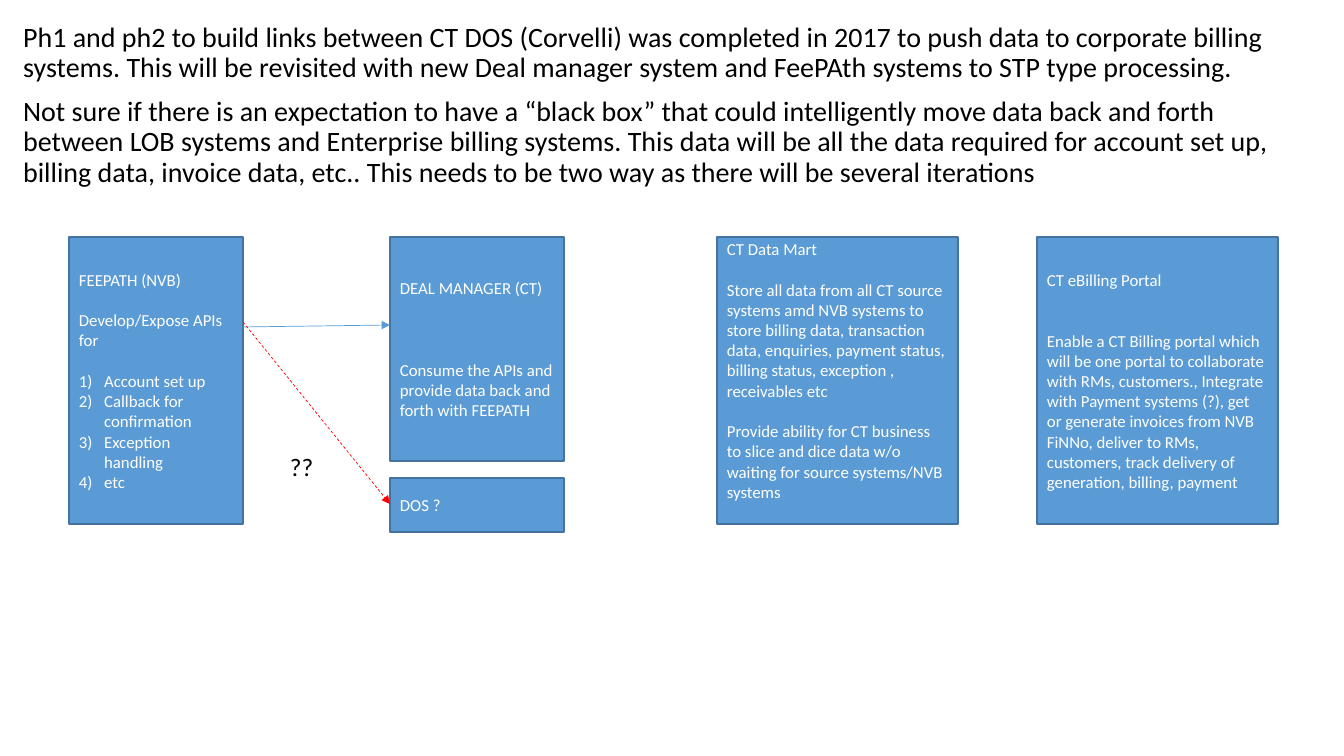
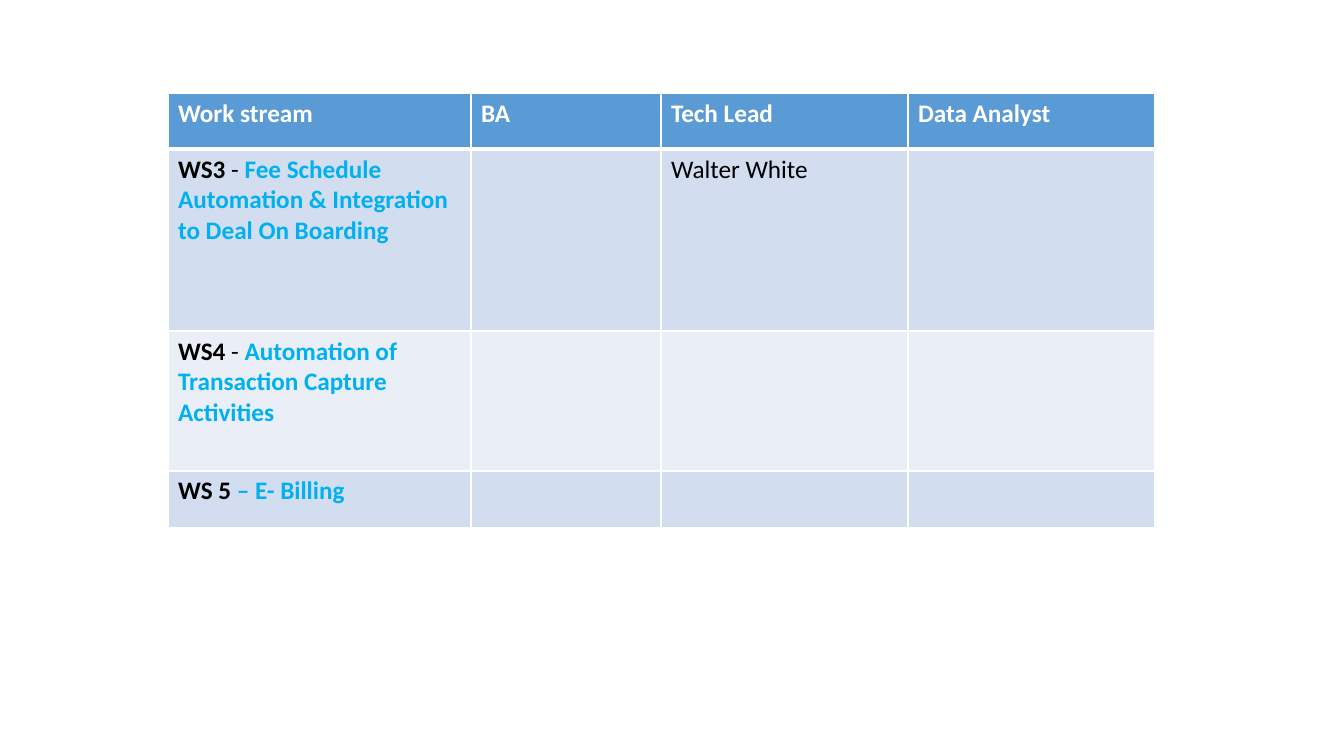
from pptx import Presentation
from pptx.dml.color import RGBColor as Color
from pptx.enum.dml import MSO_LINE as Dash
from pptx.enum.shapes import MSO_CONNECTOR as Link, MSO_SHAPE as Form
from pptx.enum.text import MSO_ANCHOR as Anchor, MSO_AUTO_SIZE as Fit, PP_ALIGN as Align
from pptx.oxml.ns import qn
from pptx.util import Emu, Pt
from lxml.etree import SubElement as add_sub

WIDTH, HEIGHT = 1344, 756
SCALE = 12192000 / WIDTH
FACE = "Calibri"
BLACK = Color(0x00, 0x00, 0x00)
WHITE = Color(0xFF, 0xFF, 0xFF)
BLUE = Color(0x5B, 0x9B, 0xD5)
NAVY = Color(0x43, 0x73, 0x9E)
SKY = Color(0x00, 0xB0, 0xF0)
RED = Color(0xFF, 0x00, 0x00)
BANDS = (Color(0xD2, 0xDE, 0xEF), Color(0xEA, 0xEF, 0xF7))

LINE = 14.65  # height of one 12 point line
TOP, TALL = 237, 287
NOTES = (
    "Ph1 and ph2 to build links between CT DOS (Corvelli) was completed in 2017 to push "
    "data to corporate billing systems. This will be revisited with new Deal manager "
    "system and FeePAth systems to STP type processing.",
    "Not sure if there is an expectation to have a “black box” that could intelligently "
    "move data back and forth between LOB systems and Enterprise billing systems. This "
    "data will be all the data required for account set up, billing data, invoice data, "
    "etc.. This needs to be two way as there will be several iterations",
)
# Each box: place, then (lines of gap above, text), numbered steps, lines of gap below
BOXES = (
    ((69, TOP, 174, TALL),
     ((0, "FEEPATH (NVB)"), (1, "Develop/Expose APIs for")),
     ("Account set up", "Callback for confirmation", "Exception handling", "etc"), 0),
    ((390, TOP, 174, 224),
     ((0, "DEAL MANAGER (CT)"),
      (3, "Consume the APIs and provide data back and forth with FEEPATH")), (), 0),
    ((717, TOP, 241, TALL),
     ((0, "CT Data Mart"),
      (1, "Store all data from all CT source systems amd NVB systems to store billing "
          "data, transaction data, enquiries, payment status, billing status, "
          "exception , receivables etc"),
      (1, "Provide ability for CT business to slice and dice data w/o waiting for "
          "source systems/NVB systems")), (), 1),
    ((1037, TOP, 241, TALL),
     ((0, "CT eBilling Portal"),
      (2, "Enable a CT Billing portal which will be one portal to collaborate with RMs, "
          "customers., Integrate with Payment systems (?), get or generate invoices "
          "from NVB FiNNo, deliver to RMs, customers, track delivery of generation, "
          "billing, payment")), (), 0),
    ((390, 478, 174, 54), ((0, "DOS ?"),), (), 0),
)
LINKS = (
    ((243, 327, 390, 325), BLUE, Dash.SOLID),
    ((243, 322, 390, 504), RED, Dash.DASH),
)
HEADS = ("Work stream", "BA", "Tech Lead", "Data Analyst")
STREAMS = (
    ("WS3", " - ", "Fee Schedule Automation & Integration to Deal On Boarding", "Walter White"),
    ("WS4", " - ", "Automation of Transaction Capture Activities", ""),
    ("WS 5 ", "", "– E- Billing", ""),
)


def px(*vals):
    """Turn pixels into a list of EMU lengths."""
    return [Emu(round(val * SCALE)) for val in vals]


def style(item, **vals):
    """Set each named value on an item."""
    for name, val in vals.items():
        setattr(item, name, val)


def write(para, text, size, color, bold=False):
    """Add one run of text to a paragraph."""
    run = para.add_run()
    run.text = text
    style(run.font, name=FACE, size=Pt(size), bold=bold)
    run.font.color.rgb = color


def next_para(frame, first):
    """Give the first paragraph of a frame, or a new one."""
    return frame.paragraphs[0] if first else frame.add_paragraph()


def bullet(para, tag, indent=0, **vals):
    """Set the bullet and hanging indent of a paragraph."""
    props = para._p.get_or_add_pPr()
    props.set("marL", str(indent))
    props.set("indent", str(-indent))
    add_sub(props, qn(tag), **vals)


def add_notes(slide, box):
    """Fill the body placeholder with the opening notes."""
    title = slide.shapes.title.element
    title.getparent().remove(title)
    body = slide.placeholders[1]
    left, top, width, height = px(*box)
    style(body, left=left, top=top, width=width, height=height)
    style(body.text_frame, word_wrap=True, auto_size=Fit.NONE)
    for i, text in enumerate(NOTES):
        para = next_para(body.text_frame, i == 0)
        style(para, line_spacing=0.9, space_before=Pt(10))
        bullet(para, "a:buNone")
        write(para, text, 20, BLACK)


def add_box(slide, box, parts, steps, below):
    """Draw one system box with its text and numbered steps."""
    shape = slide.shapes.add_shape(Form.RECTANGLE, *px(*box))
    shape.shadow.inherit = False
    shape.fill.solid()
    shape.fill.fore_color.rgb = BLUE
    shape.line.color.rgb = NAVY
    shape.line.width = Pt(1)
    frame = shape.text_frame
    style(frame, word_wrap=True, vertical_anchor=Anchor.MIDDLE,
          margin_bottom=Pt(3.6 + below * LINE))
    rows = [(*part, False) for part in parts]
    rows += [(int(i == 0), step, True) for i, step in enumerate(steps)]
    for i, (gap, text, listed) in enumerate(rows):
        para = next_para(frame, i == 0)
        style(para, alignment=Align.LEFT, space_before=Pt(gap * LINE))
        if listed:
            bullet(para, "a:buAutoNum", Pt(18), type="arabicParenR")
        write(para, text, 12, WHITE)


def add_link(slide, ends, color, dash):
    """Draw an arrow between two points."""
    link = slide.shapes.add_connector(Link.STRAIGHT, *px(*ends))
    link.line.color.rgb = color
    style(link.line, width=Pt(0.5), dash_style=dash)
    props = link.element.spPr
    add_sub(props.find(qn("a:ln")), qn("a:tailEnd"), type="triangle")
    add_sub(props, qn("a:effectLst"))


def add_mark(slide, box):
    """Place the question marks beside the dashed arrow."""
    frame = slide.shapes.add_textbox(*px(*box)).text_frame
    style(frame, word_wrap=False, auto_size=Fit.SHAPE_TO_FIT_TEXT)
    write(frame.paragraphs[0], "??", 18, BLACK)


def paint(cell, fill, top=1, base=1):
    """Give a cell white borders and a plain fill."""
    props = cell._tc.get_or_add_tcPr()
    for side, wide in zip("LRTB", (1, 1, top, base)):
        edge = add_sub(props, qn("a:ln" + side), w=str(Pt(wide)))
        tint = add_sub(edge, qn("a:solidFill"))
        add_sub(tint, qn("a:srgbClr"), val=str(WHITE))
    cell.fill.solid()
    cell.fill.fore_color.rgb = fill


def add_streams(slide, left, top, cols, rows):
    """Build the table of work streams from its column and row sizes."""
    frame = slide.shapes.add_table(len(rows), len(cols), *px(left, top, sum(cols), sum(rows)))
    table = frame.table
    for col, width in zip(table.columns, px(*cols)):
        col.width = width
    for row, height in zip(table.rows, px(*rows)):
        row.height = height
    for i, head in enumerate(HEADS):
        cell = table.cell(0, i)
        paint(cell, BLUE, base=3)
        write(cell.text_frame.paragraphs[0], head, 18, WHITE, True)
    for r, (code, dash, name, lead) in enumerate(STREAMS, 1):
        texts = {0: ((code, BLACK, True), (dash, BLACK, False), (name, SKY, True)),
                 2: ((lead, BLACK, False),)}
        for c in range(len(cols)):
            cell = table.cell(r, c)
            paint(cell, BANDS[(r - 1) % 2], top=3 if r == 1 else 1)
            for text, color, bold in texts.get(c, ()):
                if text:
                    write(cell.text_frame.paragraphs[0], text, 18, color, bold)


def main():
    """Build and save both slides."""
    deck = Presentation()
    wide, high = px(WIDTH, HEIGHT)
    style(deck, slide_width=wide, slide_height=high)
    flow = deck.slides.add_slide(deck.slide_layouts[1])
    add_notes(flow, (13, 18, 1318, 202))
    for box in BOXES:
        add_box(flow, *box)
    for link in LINKS:
        add_link(flow, *link)
    add_mark(flow, (280, 446, 44, 40))
    team = deck.slides.add_slide(deck.slide_layouts[6])
    add_streams(team, 168, 93, (303, 190, 247, 247), (56, 182, 140, 57))
    deck.save("out.pptx")


main()
